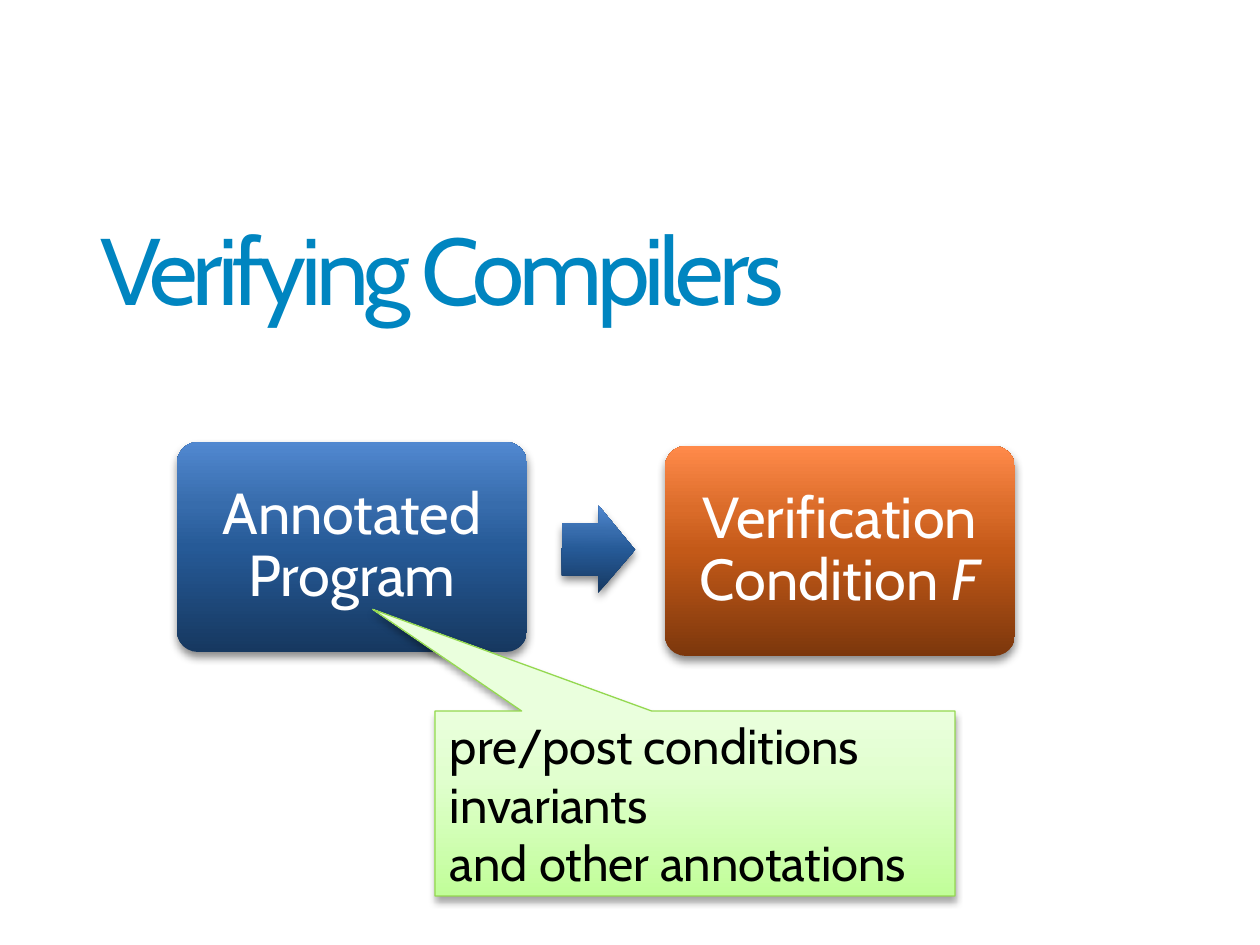
from lxml.etree import SubElement
from pptx import Presentation
from pptx.dml.color import RGBColor
from pptx.enum.shapes import MSO_SHAPE
from pptx.enum.text import MSO_ANCHOR, MSO_AUTO_SIZE, PP_ALIGN
from pptx.oxml import parse_xml
from pptx.oxml.ns import nsdecls, qn
from pptx.util import Emu, Pt

SCALE = 914400 / 126
BLUE = [(0, "163860"), (50, "265A97"), (70, "376CAC"), (100, "5188D0")]
ORANGE = [(0, "7C370C"), (50, "C35918"), (70, "DB6C2A"), (100, "FF8A4A")]
GREEN = [(0, "C1FE99"), (65, "E1FFCF"), (100, "EAFFDD")]


def write(tf, paragraphs, size, color, align=PP_ALIGN.LEFT, spacing=1.0,
          anchor=MSO_ANCHOR.MIDDLE, inset=(0, 0), track=0):
    """Fill a frame; each paragraph is a list of (text, italic) runs."""
    tf.word_wrap = True
    tf.vertical_anchor = anchor
    tf.margin_left = tf.margin_right = Emu(round(inset[0] * SCALE))
    tf.margin_top = tf.margin_bottom = Emu(round(inset[1] * SCALE))
    for i, runs in enumerate(paragraphs):
        p = tf.add_paragraph() if i else tf.paragraphs[0]
        p.alignment, p.line_spacing = align, spacing
        for text, italic in runs:
            r = p.add_run()
            r.text = text
            r.font.name, r.font.size, r.font.italic = "Cabin", Pt(size), italic
            r.font.color.rgb = RGBColor.from_string(color)
            if track:
                r.font._element.set("spc", str(track * 100))


def add_gradient_shape(kind, box, adjustments, stops, alpha=45, blur=5):
    """Add a shape with an upward gradient and a soft shadow below it."""
    sp = slide.shapes.add_shape(kind, *[Emu(round(v * SCALE)) for v in box])
    for i, value in enumerate(adjustments):
        sp.adjustments[i] = value
    sp.line.fill.background()
    sp.fill.gradient()
    grad = sp._element.spPr.find(qn("a:gradFill"))
    for child in list(grad):
        grad.remove(child)
    stop_list = SubElement(grad, qn("a:gsLst"))
    for pos, color in stops:
        gs = SubElement(stop_list, qn("a:gs"), pos=str(pos * 1000))
        SubElement(gs, qn("a:srgbClr"), val=color)
    SubElement(grad, qn("a:lin"), ang="16200000", scaled="0")
    sp._element.spPr.append(parse_xml(
        f'<a:effectLst {nsdecls("a")}><a:outerShdw blurRad="{Pt(blur)}" '
        f'dist="{Pt(3)}" dir="5400000" rotWithShape="0"><a:srgbClr val="000000">'
        f'<a:alpha val="{alpha * 1000}"/></a:srgbClr></a:outerShdw></a:effectLst>'))
    return sp


prs = Presentation()
prs.slide_width, prs.slide_height = Emu(9144000), Emu(6858000)
slide = prs.slides.add_slide(prs.slide_layouts[5])

title = slide.shapes.title
title.left, title.top, title.width, title.height = [
    Emu(round(v * SCALE)) for v in (100, 224, 1060, 103)]
write(title.text_frame, [[("Verifying Compilers", False)]], 54, "0085C0",
      spacing=0.9, anchor=MSO_ANCHOR.TOP, track=-3)
title.text_frame.auto_size = MSO_AUTO_SIZE.SHAPE_TO_FIT_TEXT

steps = [
    (177, 442, BLUE, [("Annotated Program", False)]),
    (665, 446, ORANGE, [("Verification Condition ", False), ("F", True)]),
]
for left, top, stops, runs in steps:
    step = add_gradient_shape(MSO_SHAPE.ROUNDED_RECTANGLE, (left, top, 350, 210),
                              [0.1], stops)
    write(step.text_frame, [runs], 33, "FFFFFF", align=PP_ALIGN.CENTER,
          spacing=0.9, inset=(18, 18))

arrow = add_gradient_shape(MSO_SHAPE.RIGHT_ARROW, (562, 506, 73, 87),
                           [0.6, 0.5], BLUE)
arrow.rotation = 0.5

callout = add_gradient_shape(MSO_SHAPE.RECTANGULAR_CALLOUT, (435, 711, 520, 185),
                             [-0.62, -1.05], GREEN, alpha=35, blur=4)
callout.line.color.rgb = RGBColor.from_string("94D850")
callout.line.width = Pt(0.75)
notes = ["pre/post conditions", "invariants", "and other annotations"]
write(callout.text_frame, [[(note, False)] for note in notes], 28, "000000",
      inset=(15, 8))

prs.save("out.pptx")
